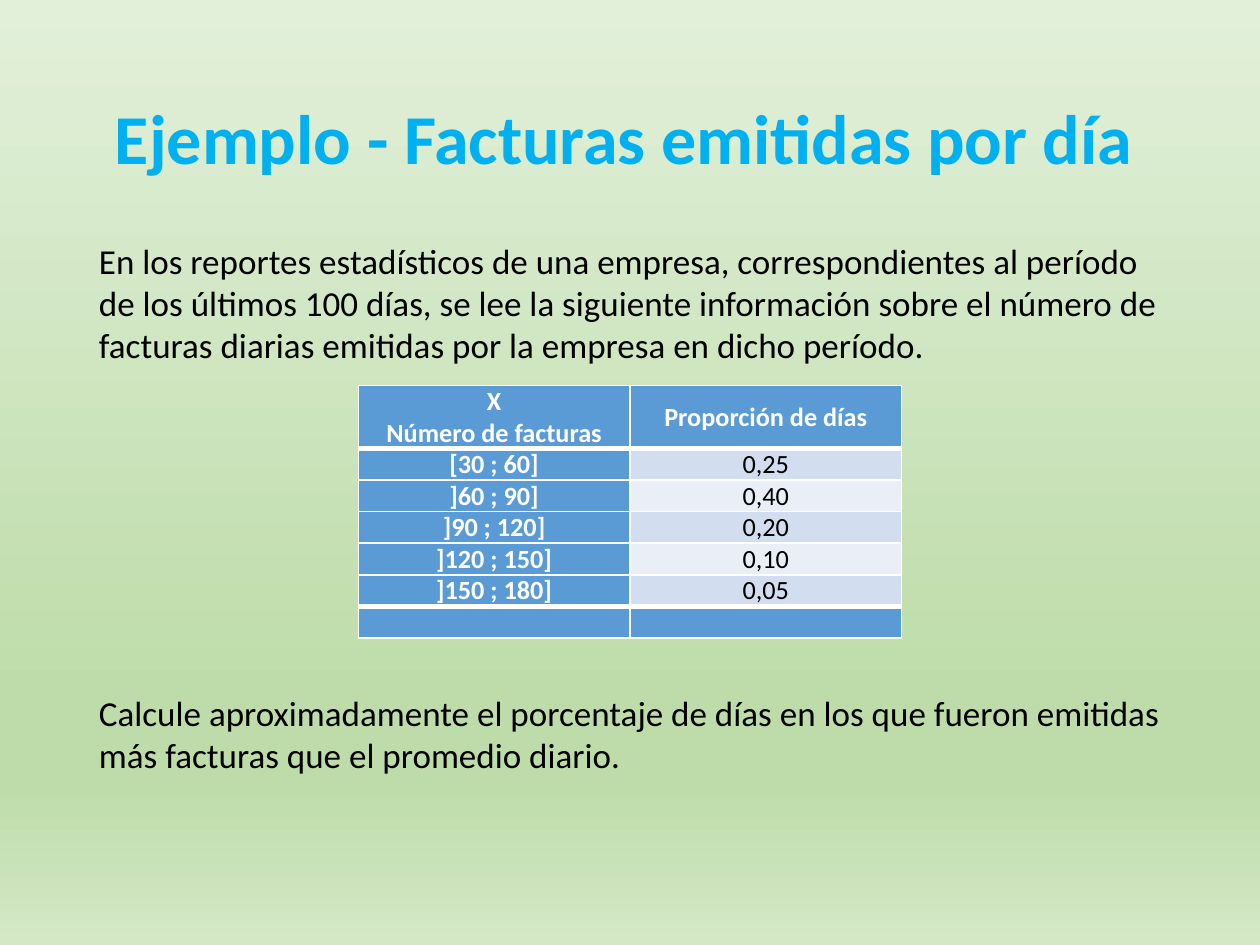
from lxml.etree import SubElement
from pptx import Presentation
from pptx.dml.color import RGBColor
from pptx.enum.text import MSO_ANCHOR, PP_ALIGN
from pptx.oxml.ns import qn
from pptx.util import Pt


def color(value):
    return RGBColor.from_string(value)


def write(tf, text, size=20, fill="000000", bold=False, align=PP_ALIGN.LEFT, spacing=1.0):
    tf.word_wrap = True
    p = tf.paragraphs[0]
    p.alignment = align
    p.line_spacing = spacing
    if not text:
        SubElement(p._p, qn("a:endParaRPr"), sz=str(size * 100))
    for i, line in enumerate(text.split("\n") if text else []):
        if i:
            p.add_line_break()
        r = p.add_run()
        r.text = line
        r.font.name = "Calibri"
        r.font.size = Pt(size)
        r.font.bold = bold
        r.font.color.rgb = color(fill)


prs = Presentation()
prs.slide_width, prs.slide_height = Pt(720), Pt(540)
s = prs.slides.add_slide(prs.slide_layouts[6])

# Background: vertical green gradient
fill = s.background.fill
fill.gradient()
fill.gradient_angle = 270
stops = s._element.find(".//" + qn("a:gsLst"))
for stop in list(stops):
    stops.remove(stop)
for pos, value in [(0, "E2F0D9"), (74, "BEDCAA"), (83, "BEDCAA"), (100, "D4E8C6")]:
    stop = SubElement(stops, qn("a:gs"), pos=str(pos * 1000))
    SubElement(stop, qn("a:srgbClr"), val=value)

# Title
left, width = 49.5, 621
sp = s.shapes.add_textbox(Pt(left), Pt(28.75), Pt(width), Pt(104.4))
tf = sp.text_frame
tf.vertical_anchor = MSO_ANCHOR.MIDDLE
tf.margin_left = Pt(16.2)
write(tf, "Ejemplo - Facturas emitidas por día", size=40, fill="00B0F0", bold=True, spacing=0.9)

# Statement above the table and question below it
paragraphs = [
    (133.2, 80, "En los reportes estadísticos de una empresa, correspondientes al período de los "
     "últimos 100 días, se lee la siguiente información sobre el número de facturas diarias "
     "emitidas por la empresa en dicho período."),
    (391.5, 56, "Calcule aproximadamente el porcentaje de días en los que fueron emitidas más "
     "facturas que el promedio diario."),
]
for top, height, text in paragraphs:
    sp = s.shapes.add_textbox(Pt(left), Pt(top), Pt(width), Pt(height))
    write(sp.text_frame, text)

# Table of proportions
rows = [
    ("X\nNúmero de facturas", "Proporción de días"),
    ("[30 ; 60]", "0,25"),
    ("]60 ; 90]", "0,40"),
    ("]90 ; 120]", "0,20"),
    ("]120 ; 150]", "0,10"),
    ("]150 ; 180]", "0,05"),
    ("", ""),
]
last = len(rows) - 1
table = s.shapes.add_table(len(rows), 2, Pt(204.75), Pt(220.3), Pt(310.5), Pt(144)).table
for column in table.columns:
    column.width = Pt(155.25)
for i, row in enumerate(rows):
    table.rows[i].height = Pt(36 if i == 0 else 18)
    for j, text in enumerate(row):
        cell = table.cell(i, j)
        cell.margin_left = cell.margin_right = Pt(4.3)
        cell.margin_top = cell.margin_bottom = 0
        if i == 0 and j == 1:
            cell.vertical_anchor = MSO_ANCHOR.MIDDLE
        strong = j == 0 or i in (0, last)
        write(cell.text_frame, text, size=15, fill="FFFFFF" if strong else "000000",
              bold=strong, align=PP_ALIGN.CENTER)

        # White borders, thicker next to the header and the total row
        thick = {"lnT": i in (1, last), "lnB": i in (0, last - 1)}
        for side in ("lnL", "lnR", "lnT", "lnB"):
            points = 3 if thick.get(side) else 1
            ln = SubElement(cell._tc.get_or_add_tcPr(), qn("a:" + side), w=str(Pt(points)))
            SubElement(SubElement(ln, qn("a:solidFill")), qn("a:srgbClr"), val="FFFFFF")
        cell.fill.solid()
        band = "D2DEEF" if i % 2 else "EAEFF7"
        cell.fill.fore_color.rgb = color("5B9BD5" if strong else band)

prs.save("out.pptx")
